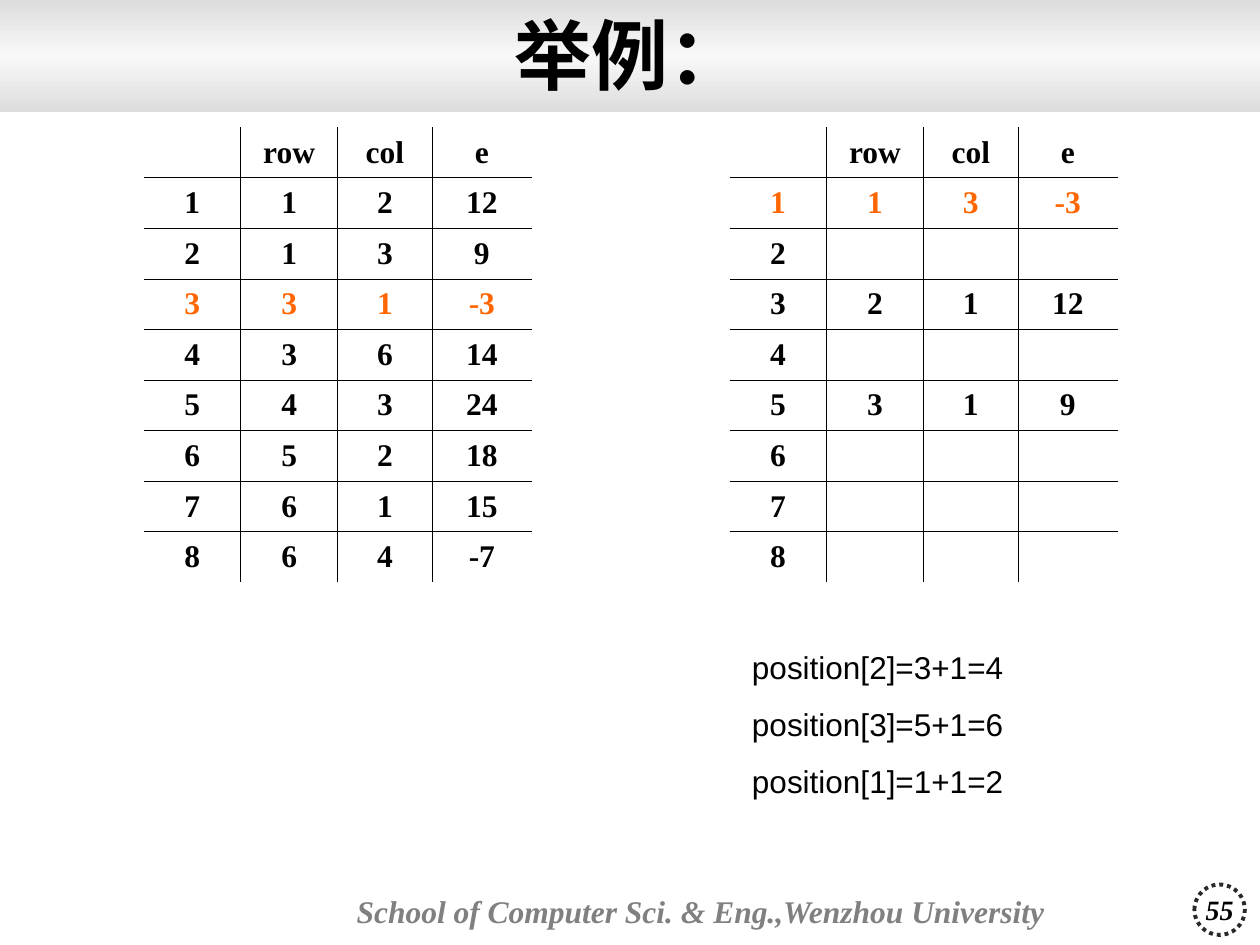
from copy import deepcopy
from dataclasses import dataclass
from typing import Optional

from lxml import etree
from pptx import Presentation, util as u
from pptx.dml import color
from pptx.enum import dml, shapes, text
from pptx.oxml import ns


@dataclass(frozen=True)
class Theme:
    """Colours, fonts and type sizes of the slide."""
    ink: str = "000000"
    accent: str = "FF6600"
    muted: str = "808080"
    ring: str = "292929"
    band: tuple = ("DDDDDD", "F8F8F8", "DDDDDD")
    serif: str = "Times New Roman"
    sans: str = "Arial"
    title: int = 44
    body: int = 18
    number: int = 16
    rule: float = 0.45


@dataclass(frozen=True)
class Area:
    """A rectangle in percent of the slide's width and height."""
    left: float
    top: float
    width: float
    height: float

    def lengths(self) -> tuple:
        """Return left, top, width and height as slide lengths."""
        return (across(self.left), down(self.top), across(self.width), down(self.height))


@dataclass(frozen=True)
class Style:
    """Type settings shared by all runs of a paragraph."""
    size: int
    name: str = "Times New Roman"
    ink: str = "000000"
    bold: bool = True
    italic: bool = False
    align: text.PP_ALIGN = text.PP_ALIGN.CENTER


@dataclass(frozen=True)
class Triples:
    """A sparse matrix table with one highlighted row."""
    left: float
    rows: tuple
    highlight: int


THEME = Theme()
WIDTH, HEIGHT = u.Inches(10), u.Inches(7.5)
COLUMNS = (7.7, 7.7, 7.5, 7.9)
TABLE_TOP, ROW_HEIGHT = 13.47, 5.35
HEADER = ("", "row", "col", "e")
SOURCE = Triples(11.4, ((1, 2, 12), (1, 3, 9), (3, 1, -3), (3, 6, 14),
                        (4, 3, 24), (5, 2, 18), (6, 1, 15), (6, 4, -7)), 3)
BLANK = ("", "", "")
TRANSPOSED = Triples(57.9, ((1, 3, -3), BLANK, (2, 1, 12), BLANK,
                            (3, 1, 9), BLANK, BLANK, BLANK), 1)
POSITIONS = ("position[2]=3+1=4", "position[3]=5+1=6", "position[1]=1+1=2")


def across(share: float) -> int:
    """Turn a percentage of the slide's width into a length."""
    return round(WIDTH * share / 100)


def down(share: float) -> int:
    """Turn a percentage of the slide's height into a length."""
    return round(HEIGHT * share / 100)


def set_type(para, style: Style) -> None:
    """Apply a style to a paragraph."""
    para.alignment = style.align
    font = para.font
    font.size, font.name = u.Pt(style.size), style.name
    font.bold, font.italic = style.bold, style.italic
    font.color.rgb = color.RGBColor.from_string(style.ink)


def write(frame, lines: tuple, style: Style, gap: float = 0) -> None:
    """Write one paragraph a line, with a gap between paragraphs."""
    for index, line in enumerate(lines):
        para = frame.add_paragraph() if index else frame.paragraphs[0]
        para.text = line
        set_type(para, style)
        if index:
            para.space_before = u.Pt(gap)


def add_text(page, area: Area, lines: tuple, style: Style, gap: float = 0,
             anchor=text.MSO_ANCHOR.MIDDLE, inset: Optional[float] = None):
    """Add a wrapping text box."""
    box = page.shapes.add_textbox(*area.lengths())
    frame = box.text_frame
    frame.word_wrap = True
    frame.vertical_anchor = anchor
    if inset is not None:
        frame.margin_left = frame.margin_right = across(inset)
    write(frame, lines, style, gap)


def add_band(page, area: Area) -> None:
    """Add the shaded band behind the title."""
    band = page.shapes.add_shape(shapes.MSO_SHAPE.RECTANGLE, *area.lengths())
    band.shadow.inherit = False
    band.line.fill.background()
    band.fill.gradient()
    band.fill.gradient_angle = 90
    stops = next(band._element.iter(ns.qn("a:gsLst")))
    stops.append(deepcopy(stops[0]))
    for index, (stop, shade) in enumerate(zip(band.fill.gradient_stops, THEME.band)):
        stop.position = index / 2
        stop.color.rgb = color.RGBColor.from_string(shade)


def add_number(page, area: Area, label: str) -> None:
    """Add the page number in a dotted ring."""
    ring = page.shapes.add_shape(shapes.MSO_SHAPE.OVAL, *area.lengths())
    ring.shadow.inherit = False
    ring.fill.background()
    ring.line.color.rgb = color.RGBColor.from_string(THEME.ring)
    ring.line.width = u.Pt(2.25)
    ring.line.dash_style = dml.MSO_LINE.ROUND_DOT
    frame = ring.text_frame
    frame.word_wrap = False
    frame.vertical_anchor = text.MSO_ANCHOR.MIDDLE
    write(frame, (label,), Style(THEME.number, italic=True))


def set_borders(cell, inner: dict) -> None:
    """Rule the inner sides of a cell and leave the outer sides open."""
    properties = cell._tc.get_or_add_tcPr()
    for side, ruled in inner.items():
        line = etree.SubElement(properties, ns.qn(f"a:ln{side}"), w=str(u.Pt(THEME.rule)))
        fill = etree.SubElement(line, ns.qn("a:solidFill" if ruled else "a:noFill"))
        if ruled:
            etree.SubElement(fill, ns.qn("a:srgbClr"), val=THEME.ink)


def add_triples(page, triples: Triples) -> None:
    """Add a table of numbered triples with inner rules only."""
    rows = [HEADER] + [(number, *row) for number, row in enumerate(triples.rows, 1)]
    last_row, last_column = len(rows) - 1, len(COLUMNS) - 1
    area = Area(triples.left, TABLE_TOP, sum(COLUMNS), ROW_HEIGHT * len(rows))
    table = page.shapes.add_table(len(rows), len(COLUMNS), *area.lengths()).table
    table.first_row = table.horz_banding = False
    for column, share in zip(table.columns, COLUMNS):
        column.width = across(share)
    for r, row in enumerate(rows):
        table.rows[r].height = down(ROW_HEIGHT)
        ink = THEME.accent if r == triples.highlight else THEME.ink
        for c, value in enumerate(row):
            cell = table.cell(r, c)
            cell.vertical_anchor = text.MSO_ANCHOR.MIDDLE
            set_borders(cell, {"L": c > 0, "R": c < last_column, "T": r > 0, "B": r < last_row})
            cell.fill.background()
            write(cell.text_frame, (str(value),), Style(THEME.body, ink=ink))


def main() -> None:
    """Build and save the slide."""
    deck = Presentation()
    deck.slide_width, deck.slide_height = WIDTH, HEIGHT
    page = deck.slides.add_slide(deck.slide_layouts[6])
    add_band(page, Area(0, 0, 100, 11.87))
    add_text(page, Area(27.8, 92, 59.9, 8.8),
             ("School of Computer Sci. & Eng.,Wenzhou University",),
             Style(THEME.body, ink=THEME.muted, italic=True, align=text.PP_ALIGN.LEFT), inset=0.5)
    add_number(page, Area(94.8, 93.6, 4, 5.33), "55")
    add_text(page, Area(0, -0.27, 100, 12), ("举例：",), Style(THEME.title))
    for triples in (SOURCE, TRANSPOSED):
        add_triples(page, triples)
    add_text(page, Area(58.7, 67.87, 23.6, 17.6), POSITIONS,
             Style(THEME.body, THEME.sans, bold=False, align=text.PP_ALIGN.LEFT),
             gap=11.2, anchor=text.MSO_ANCHOR.TOP)
    deck.save("out.pptx")


if __name__ == "__main__":
    main()
